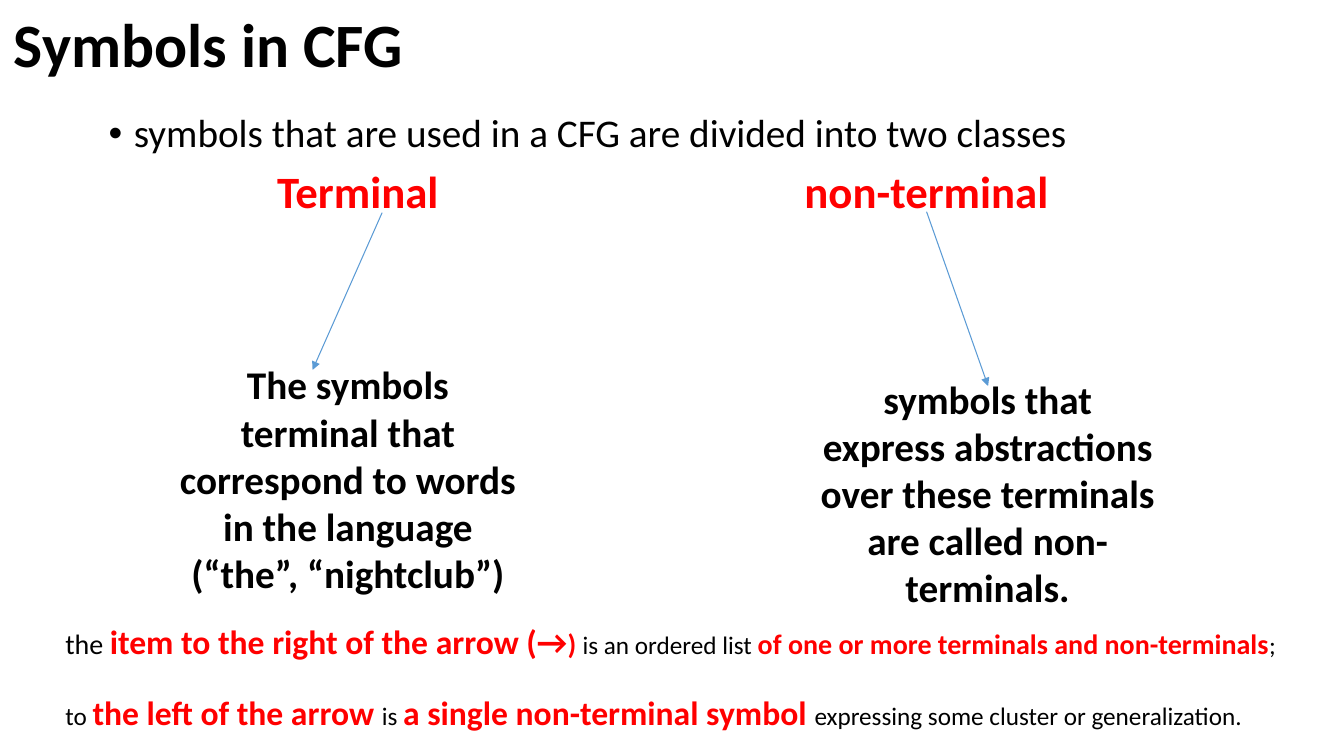
from lxml import etree
from pptx import Presentation
from pptx.dml.color import RGBColor
from pptx.enum.shapes import MSO_CONNECTOR
from pptx.enum.text import MSO_ANCHOR, PP_ALIGN
from pptx.oxml.ns import qn
from pptx.util import Inches, Pt

BLACK = RGBColor(0x00, 0x00, 0x00)
RED = RGBColor(0xFF, 0x00, 0x00)
BLUE = RGBColor(0x5B, 0x9B, 0xD5)
FONT = "Calibri"
STRAIGHT = MSO_CONNECTOR.STRAIGHT
MIDDLE = MSO_ANCHOR.MIDDLE
CENTER = PP_ALIGN.CENTER
JUSTIFY = PP_ALIGN.JUSTIFY

# Box of each class, then the start and end of the arrow to it
CLASSES = [
    ((1.68, 3.53, 3.54, 3.36), (3.79, 2.11), (3.1, 3.67),
     ["The symbols",
      "terminal that correspond to words in the language (“the”, “nightclub”)"]),
    ((8.02, 3.67, 3.55, 3.36), (9.19, 2.1), (9.8, 3.83),
     ["symbols that express abstractions over these terminals "
      "are called non-terminals."]),
]

# Runs of each rule: text, size, whether it is stressed
RULES = [
    [("the ", 20, False), ("item to the right of the arrow (→", 24, True),
     (") ", 20, True), ("is an ordered list ", 18, False),
     ("of one or more terminals and non-terminals", 20, True),
     (";", 18, False)],
    [("to ", 18, False), ("the left of the arrow ", 24, True),
     ("is ", 18, False), ("a single non-terminal symbol ", 24, True),
     ("expressing some cluster or generalization.", 18, False)],
]


def style(font, size, color=BLACK, bold=False):
    font.name = FONT
    font.size = Pt(size)
    font.bold = bold
    font.color.rgb = color


def add_frame(slide, box):
    frame = slide.shapes.add_textbox(*map(Inches, box)).text_frame
    frame.word_wrap = True
    return frame


def add_lines(frame, count):
    """Return the first paragraph and as many new ones as needed."""
    return [frame.paragraphs[0]] + [frame.add_paragraph() for _ in range(count - 1)]


def add_title(slide, box):
    frame = add_frame(slide, box)
    frame.vertical_anchor = MIDDLE
    line = frame.paragraphs[0]
    line.text = "Symbols in CFG"
    line.line_spacing = 0.9
    style(line.font, 44, bold=True)


def add_intro(slide, box):
    """Bulleted statement with the two class names on tab stops below."""
    point, names = add_lines(add_frame(slide, box), 2)
    for line in (point, names):
        line.line_spacing = 0.9
        line.space_before = Pt(10)

    point.text = "symbols that are used in a CFG are divided into two classes"
    props = point._p.get_or_add_pPr()
    props.set("marL", str(Inches(0.25)))
    props.set("indent", str(Inches(-0.25)))
    etree.SubElement(props, qn("a:buFont"), typeface="Arial")
    etree.SubElement(props, qn("a:buChar"), char="•")
    style(point.font, 28)

    names.add_run().text = "\tTerminal\tnon-terminal"
    stops = etree.SubElement(names._p.get_or_add_pPr(), qn("a:tabLst"))
    for stop in (1.67, 6.9):
        etree.SubElement(stops, qn("a:tab"), pos=str(Inches(stop)), algn="l")
    style(names.font, 32, RED, True)


def add_arrow(slide, start, end):
    arrow = slide.shapes.add_connector(STRAIGHT, *map(Inches, start + end))
    arrow.line.color.rgb = BLUE
    arrow.line.width = Pt(0.75)
    etree.SubElement(arrow.line._get_or_add_ln(), qn("a:tailEnd"), type="triangle")
    etree.SubElement(arrow._element.spPr, qn("a:effectLst"))


def add_class(slide, box, texts):
    for line, text in zip(add_lines(add_frame(slide, box), len(texts)), texts):
        line.text = text
        line.alignment = CENTER
        style(line.font, 28, bold=True)


def add_rules(slide, box):
    lines = add_lines(add_frame(slide, box), len(RULES))
    for line, parts in zip(lines, RULES):
        line.alignment = JUSTIFY
        for text, size, stress in parts:
            run = line.add_run()
            run.text = text
            style(run.font, size, RED if stress else BLACK, stress)
    lines[1].space_before = Pt(22)


def main():
    deck = Presentation()
    deck.slide_width = Inches(13.33)
    deck.slide_height = Inches(7.5)
    slide = deck.slides.add_slide(deck.slide_layouts[6])

    add_title(slide, (0.04, -0.25, 11.5, 1.45))
    add_intro(slide, (0.98, 1.08, 11.5, 4.76))
    for box, start, end, texts in CLASSES:
        add_arrow(slide, start, end)
        add_class(slide, box, texts)
    add_rules(slide, (0.55, 6.11, 12.34, 1.83))
    deck.save("out.pptx")


if __name__ == "__main__":
    main()
